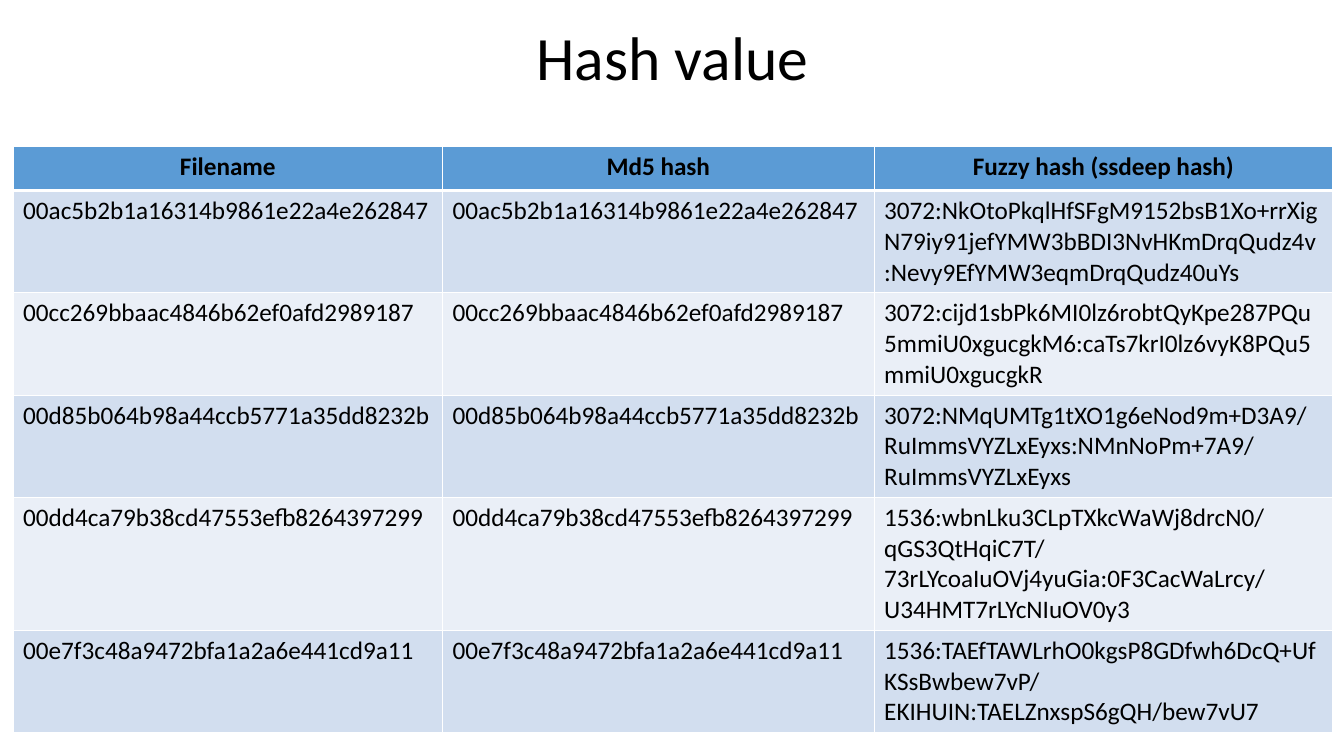
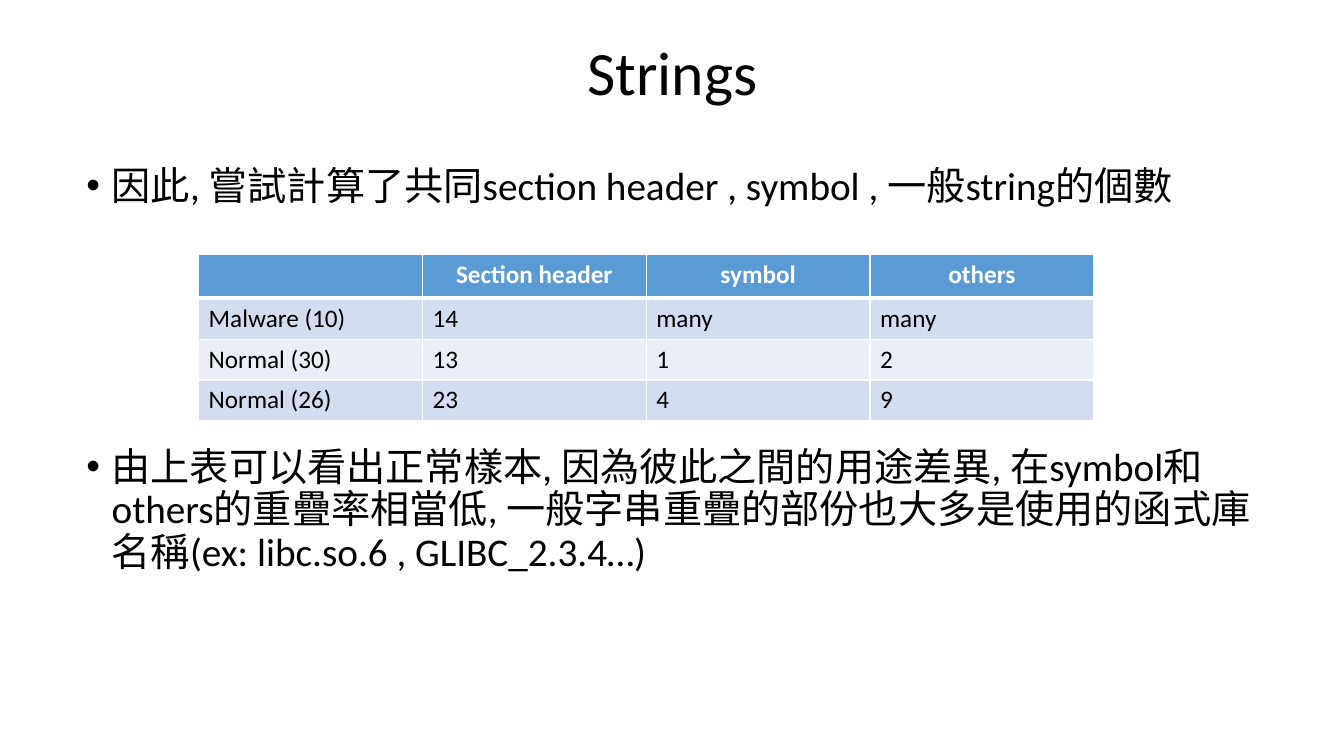
from lxml.etree import SubElement
from pptx import Presentation
from pptx.dml.color import RGBColor
from pptx.enum.text import MSO_ANCHOR, PP_ALIGN
from pptx.oxml.ns import qn
from pptx.util import Inches, Pt

FONT = "Calibri"
COLORS = {"text": "000000", "white": "FFFFFF", "header": "5B9BD5",
          "band_dark": "D2DEEF", "band_light": "EAEFF7"}
HEADER_HEIGHT = 0.44
LINE_HEIGHT = 0.305
CELL_PADDING = 0.1
BULLET_INDENT = 0.25

# Content: each hash is both file name and MD5 value
HASH_HEADER = ["Filename", "Md5 hash", "Fuzzy hash (ssdeep hash)"]
HASHES = [
    ("00ac5b2b1a16314b9861e22a4e262847",
     "3072:NkOtoPkqlHfSFgM9152bsB1Xo+rrXigN79iy91jefYMW3bBDI3NvHKmDrqQudz4v"
     ":Nevy9EfYMW3eqmDrqQudz40uYs"),
    ("00cc269bbaac4846b62ef0afd2989187",
     "3072:cijd1sbPk6MI0lz6robtQyKpe287PQu5mmiU0xgucgkM6"
     ":caTs7krI0lz6vyK8PQu5mmiU0xgucgkR"),
    ("00d85b064b98a44ccb5771a35dd8232b",
     "3072:NMqUMTg1tXO1g6eNod9m+D3A9/RuImmsVYZLxEyxs"
     ":NMnNoPm+7A9/RuImmsVYZLxEyxs"),
    ("00dd4ca79b38cd47553efb8264397299",
     "1536:wbnLku3CLpTXkcWaWj8drcN0/qGS3QtHqiC7T/73rLYcoaIuOVj4yuGia"
     ":0F3CacWaLrcy/U34HMT7rLYcNIuOV0y3"),
    ("00e7f3c48a9472bfa1a2a6e441cd9a11",
     "1536:TAEfTAWLrhO0kgsP8GDfwh6DcQ+UfKSsBwbew7vP/EKIHUIN"
     ":TAELZnxspS6gQH/bew7vU7"),
]
HASH_LINES = [3, 3, 3, 4, 3]

COUNTS = [
    ["", "Section header", "symbol", "others"],
    ["Malware (10)", "14", "many", "many"],
    ["Normal (30)", "13", "1", "2"],
    ["Normal (26)", "23", "4", "9"],
]
# Bullets: top, height, text
BULLETS = [
    (1.6, 0.6, "因此, 嘗試計算了共同section header , symbol , 一般string的個數"),
    (4.39, 1.5, "由上表可以看出正常樣本, 因為彼此之間的用途差異, 在symbol和others的重疊率"
                "相當低, 一般字串重疊的部份也大多是使用的函式庫名稱"
                "(ex: libc.so.6 , GLIBC_2.3.4…)"),
]


def write(frame, text, size=18, color="text", bold=False,
          align=PP_ALIGN.LEFT, spacing=None, bullet=False):
    frame.word_wrap = True
    paragraph = frame.paragraphs[0]
    if bullet:
        properties = paragraph._p.get_or_add_pPr()
        properties.set("marL", str(Inches(BULLET_INDENT)))
        properties.set("indent", str(-Inches(BULLET_INDENT)))
        SubElement(properties, qn("a:buFont"), typeface="Arial")
        SubElement(properties, qn("a:buChar"), char="•")
    paragraph.alignment = align
    paragraph.line_spacing = spacing
    run = paragraph.add_run()
    run.text = text
    run.font.name = FONT
    run.font.size = Pt(size)
    run.font.bold = bold
    run.font.color.rgb = RGBColor.from_string(COLORS[color])


def add_text(slide, box, text, anchor=MSO_ANCHOR.TOP, **text_format):
    frame = slide.shapes.add_textbox(*map(Inches, box)).text_frame
    frame.vertical_anchor = anchor
    write(frame, text, spacing=0.9, **text_format)


def add_titled_slide(deck, title, top, height):
    slide = deck.slides.add_slide(deck.slide_layouts[6])
    add_text(slide, (0.92, top, 11.5, height), title, size=44,
             anchor=MSO_ANCHOR.MIDDLE, align=PP_ALIGN.CENTER)
    return slide


def set_borders(cell, **widths):
    properties = cell._tc.get_or_add_tcPr()
    for side in ("L", "R", "T", "B"):
        line = SubElement(properties, qn(f"a:ln{side}"),
                          w=str(Pt(widths.get(side, 1))))
        fill = SubElement(line, qn("a:solidFill"))
        SubElement(fill, qn("a:srgbClr"), val=COLORS["white"])


def add_banded_table(slide, left, top, widths, rows, lines, header_color):
    heights = [HEADER_HEIGHT] + [CELL_PADDING + n * LINE_HEIGHT for n in lines]
    table = slide.shapes.add_table(
        len(rows), len(widths), Inches(left), Inches(top),
        Inches(sum(widths)), Inches(sum(heights))).table
    for column, width in zip(table.columns, widths):
        column.width = Inches(width)
    for r, (values, height) in enumerate(zip(rows, heights)):
        table.rows[r].height = Inches(height)
        if r == 0:
            band, borders = "header", {"B": 3}
            text_format = {"bold": True, "align": PP_ALIGN.CENTER,
                           "color": header_color}
        else:
            band = "band_dark" if r % 2 else "band_light"
            borders = {"T": 3} if r == 1 else {}
            text_format = {}
        for c, value in enumerate(values):
            cell = table.cell(r, c)
            set_borders(cell, **borders)
            cell.fill.solid()
            cell.fill.fore_color.rgb = RGBColor.from_string(COLORS[band])
            write(cell.text_frame, value, **text_format)


def main():
    deck = Presentation()
    deck.slide_width, deck.slide_height = Inches(13.33), Inches(7.5)

    # Hash values
    slide = add_titled_slide(deck, "Hash value", 0.18, 0.84)
    rows = [HASH_HEADER] + [[md5, md5, fuzzy] for md5, fuzzy in HASHES]
    add_banded_table(slide, 0.13, 1.45, [4.26, 4.28, 4.55], rows,
                     HASH_LINES, "text")

    # Shared strings
    slide = add_titled_slide(deck, "Strings", 0.17, 1.15)
    for top, height, text in BULLETS:
        add_text(slide, (0.76, top, 11.96, height), text, size=28, bullet=True)
    add_banded_table(slide, 1.97, 2.52, [2.22] * 4, COUNTS, [1] * 3, "white")

    deck.save("out.pptx")


if __name__ == "__main__":
    main()
